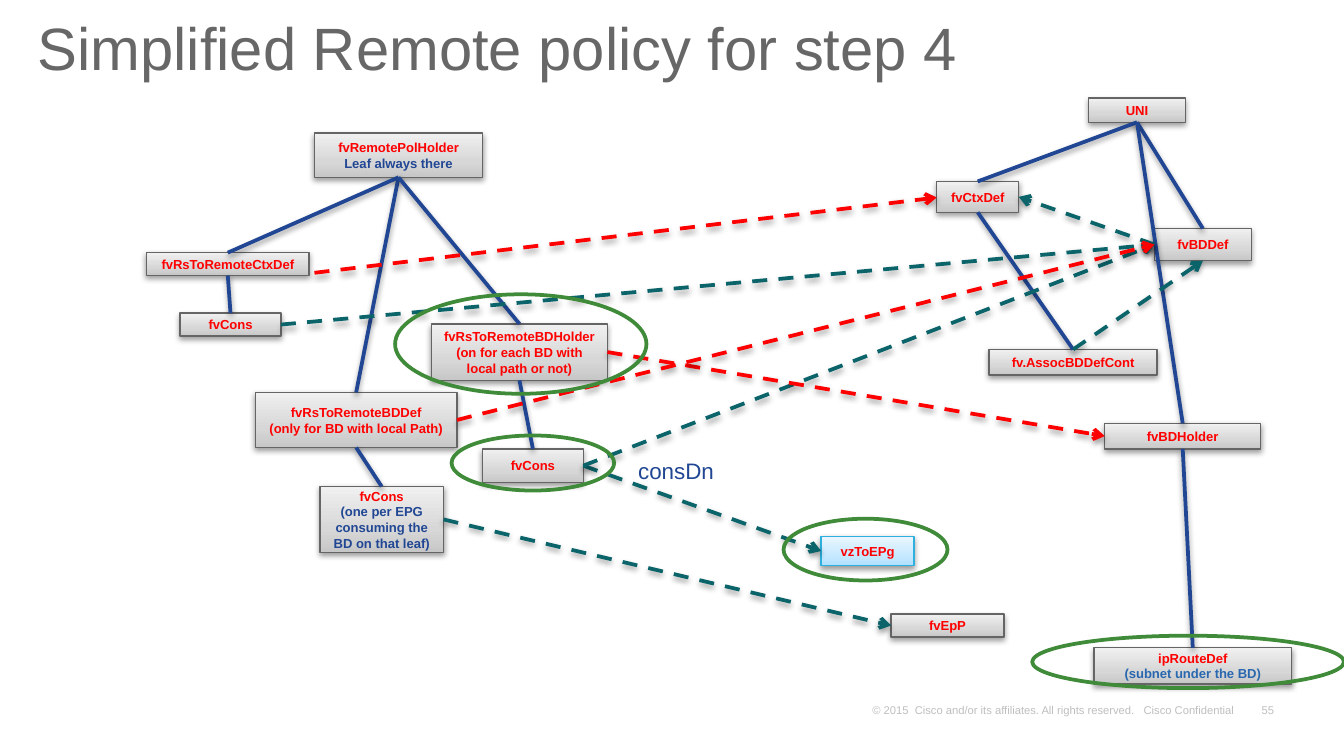
from lxml import etree
from pptx import Presentation
from pptx.dml.color import RGBColor
from pptx.enum.dml import MSO_LINE
from pptx.enum.shapes import MSO_CONNECTOR, MSO_SHAPE
from pptx.enum.text import MSO_ANCHOR, MSO_AUTO_SIZE, PP_ALIGN
from pptx.oxml import parse_xml
from pptx.oxml.ns import nsdecls, qn
from pptx.util import Inches, Pt

RECTANGLE, ELLIPSE = MSO_SHAPE.RECTANGLE, MSO_SHAPE.OVAL
STRAIGHT, DASH = MSO_CONNECTOR.STRAIGHT, MSO_LINE.DASH
LEFT, CENTER, RIGHT = PP_ALIGN.LEFT, PP_ALIGN.CENTER, PP_ALIGN.RIGHT
MIDDLE, BOTTOM = MSO_ANCHOR.MIDDLE, MSO_ANCHOR.BOTTOM
NO_AUTOFIT = MSO_AUTO_SIZE.NONE
TOP_SITE, LEFT_SITE, BOTTOM_SITE, RIGHT_SITE = range(4)

FONT = "Arial"
RED, NAVY, TEAL, GREEN = "FF0000", "214794", "0A646A", "408B39"
GRAY_TEXT, FOOTER_TEXT = "676767", "BFBFBF"
GRAY_BOX = (("C7C7C7", "D7D7D7", "F0F0F0"), "656565")
BLUE_BOX = (("AFE0FF", "C7E9FF", "EAF6FF"), "2DB0DE")
GRADIENT_POSITIONS = (0, 35, 100)

BOXES = {
    "policy": (2.34, 0.99, 1.25, 0.33, "fvRemotePolHolder", "Leaf always there", NAVY),
    "remote bd": (1.9, 2.92, 1.5, 0.41, "fvRsToRemoteBDDef", "(only for BD with local Path)", RED),
    "epg consumer": (2.38, 3.62, 0.92, 0.49, "fvCons",
                     "(one per EPG consuming the BD on that leaf)", NAVY),
    "holder consumer": (3.59, 3.34, 0.75, 0.25, "fvCons"),
    "remote holder": (3.21, 2.41, 1.31, 0.42, "fvRsToRemoteBDHolder",
                      "(on for each BD with local path or not)", RED),
    "remote context": (1.09, 1.88, 1.21, 0.17, "fvRsToRemoteCtxDef"),
    "context consumer": (1.34, 2.33, 0.75, 0.17, "fvCons"),
    "to epg": (6.11, 3.99, 0.69, 0.22, "vzToEPg"),
    "context": (6.97, 1.35, 0.61, 0.23, "fvCtxDef"),
    "bd": (8.59, 1.7, 0.72, 0.24, "fvBDDef"),
    "uni": (8.1, 0.73, 0.72, 0.18, "UNI"),
    "association": (7.36, 2.6, 1.25, 0.19, "fv.AssocBDDefCont"),
    "epp": (6.63, 4.57, 0.84, 0.17, "fvEpP"),
    "bd holder": (8.22, 3.15, 1.16, 0.19, "fvBDHolder"),
    "route": (8.14, 4.82, 1.47, 0.27, "ipRouteDef", "(subnet under the BD)", "2968AF"),
}
CHILDREN = {
    "policy": ("remote context", "remote bd", "remote holder"),
    "remote context": ("context consumer",),
    "remote bd": ("epg consumer",),
    "remote holder": ("holder consumer",),
    "uni": ("context", "bd", "bd holder"),
    "context": ("association",),
    "bd holder": ("route",),
}
REFERENCES = [
    ("holder consumer", RIGHT_SITE, "to epg", LEFT_SITE, TEAL),
    ("association", TOP_SITE, "bd", BOTTOM_SITE, TEAL),
    ("bd", LEFT_SITE, "context", RIGHT_SITE, TEAL),
    ("context consumer", RIGHT_SITE, "bd", LEFT_SITE, TEAL),
    ("epg consumer", RIGHT_SITE, "epp", LEFT_SITE, TEAL),
    ("holder consumer", RIGHT_SITE, "bd", LEFT_SITE, TEAL),
    ("remote holder", RIGHT_SITE, "bd holder", LEFT_SITE, RED),
    ("remote bd", RIGHT_SITE, "bd", LEFT_SITE, RED),
]
HIGHLIGHTS = [
    (3.36, 3.24, 1.21, 0.41),
    (2.94, 2.19, 1.87, 0.74),
    (5.83, 3.86, 1.22, 0.46),
    (7.68, 4.73, 2.32, 0.39),
]


def color(value):
    return RGBColor.from_string(value)


def format_paragraph(paragraph, size, ink, alignment=LEFT, bold=False):
    paragraph.alignment = alignment
    for run in paragraph.runs:
        run.font.name = FONT
        run.font.size = Pt(size)
        run.font.bold = bold
        run.font.color.rgb = color(ink)


def set_margins(frame, horizontal, vertical):
    frame.margin_left = frame.margin_right = Inches(horizontal)
    frame.margin_top = frame.margin_bottom = Inches(vertical)


def add_shadow(properties):
    for effects in properties.findall(qn("a:effectLst")):
        properties.remove(effects)
    properties.append(parse_xml(
        f'<a:effectLst {nsdecls("a")}><a:outerShdw blurRad="40000" dist="20000" '
        'dir="5400000" rotWithShape="0"><a:srgbClr val="000000">'
        '<a:alpha val="38000"/></a:srgbClr></a:outerShdw></a:effectLst>'))


def fill_gradient(shape, colors):
    stops = "".join(
        f'<a:gs pos="{position * 1000}"><a:srgbClr val="{value}"/></a:gs>'
        for position, value in zip(GRADIENT_POSITIONS, colors))
    gradient = parse_xml(
        f'<a:gradFill {nsdecls("a")} rotWithShape="1"><a:gsLst>{stops}</a:gsLst>'
        '<a:lin ang="16200000" scaled="0"/></a:gradFill>')
    shape._element.spPr.find(qn("a:prstGeom")).addnext(gradient)


def add_title(slide, text):
    title = slide.shapes.title
    title.left, title.top, title.width, title.height = map(Inches, (0.18, 0, 9.13, 0.8))
    frame = title.text_frame
    frame.text = text
    frame.auto_size = NO_AUTOFIT
    frame.vertical_anchor = MIDDLE
    set_margins(frame, 0.1, 0.05)
    frame.paragraphs[0].line_spacing = 0.8
    format_paragraph(frame.paragraphs[0], 32, GRAY_TEXT)


def add_label(slide, bounds, text, size, ink, alignment=LEFT, wrap=False):
    frame = slide.shapes.add_textbox(*map(Inches, bounds)).text_frame
    frame.text = text
    frame.word_wrap = wrap
    format_paragraph(frame.paragraphs[0], size, ink, alignment)
    return frame


def add_footer(slide, bounds, text, alignment, wrap):
    frame = add_label(slide, bounds, text, 6, FOOTER_TEXT, alignment, wrap)
    frame.vertical_anchor = BOTTOM
    set_margins(frame, 0.07, 0.03)


def add_box(slide, style, left, top, width, height, name, note="", note_ink=RED):
    colors, outline = style
    box = slide.shapes.add_shape(RECTANGLE, *map(Inches, (left, top, width, height)))
    fill_gradient(box, colors)
    box.line.color.rgb = color(outline)
    box.line.width = Pt(0.75)
    add_shadow(box._element.spPr)
    frame = box.text_frame
    frame.text = f"{name}\n{note}" if note else name
    frame.word_wrap = True
    frame.vertical_anchor = MIDDLE
    set_margins(frame, 0.08, 0.04)
    for paragraph, ink in zip(frame.paragraphs, (RED, note_ink)):
        format_paragraph(paragraph, 7, ink, CENTER, True)
    return box


def add_line(slide, ink, arrow=False, start=(0, 0), end=(0, 0)):
    line = slide.shapes.add_connector(STRAIGHT, *map(Inches, start + end))
    line.line.color.rgb = color(ink)
    line.line.width = Pt(2)
    if arrow:
        line.line.dash_style = DASH
        outline = line._element.spPr.find(qn("a:ln"))
        etree.SubElement(outline, qn("a:tailEnd"), type="arrow")
    add_shadow(line._element.spPr)
    return line


def link_boxes(slide, source, source_site, target, target_site, ink, arrow=False):
    line = add_line(slide, ink, arrow)
    line.begin_connect(source, source_site)
    line.end_connect(target, target_site)


def add_highlight(slide, bounds):
    ring = slide.shapes.add_shape(ELLIPSE, *map(Inches, bounds))
    ring.shadow.inherit = False
    ring.fill.background()
    ring.line.color.rgb = color(GREEN)
    ring.line.width = Pt(2)


def main():
    presentation = Presentation()
    presentation.slide_width = Inches(10)
    presentation.slide_height = Inches(10) * 9 // 16
    slide = presentation.slides.add_slide(presentation.slide_layouts[5])
    add_title(slide, "Simplified Remote policy for step 4")
    add_footer(slide, (9.31, 5.19, 0.24, 0.17), "55", RIGHT, False)
    add_footer(slide, (6.42, 5.19, 2.91, 0.17),
               "© 2015  Cisco and/or its affiliates. All rights reserved.   Cisco Confidential",
               LEFT, True)
    boxes = {key: add_box(slide, BLUE_BOX if key == "to epg" else GRAY_BOX, *values)
             for key, values in BOXES.items()}
    for parent, children in CHILDREN.items():
        for child in children:
            link_boxes(slide, boxes[child], TOP_SITE, boxes[parent], BOTTOM_SITE, NAVY)
    for source, source_site, target, target_site, ink in REFERENCES:
        link_boxes(slide, boxes[source], source_site, boxes[target], target_site, ink, True)
    add_line(slide, RED, True, (2.34, 2.03), (6.97, 1.47))
    add_label(slide, (4.65, 3.35, 0.77, 0.3), "consDn", 12, NAVY)
    for bounds in HIGHLIGHTS:
        add_highlight(slide, bounds)
    presentation.save("out.pptx")


if __name__ == "__main__":
    main()
